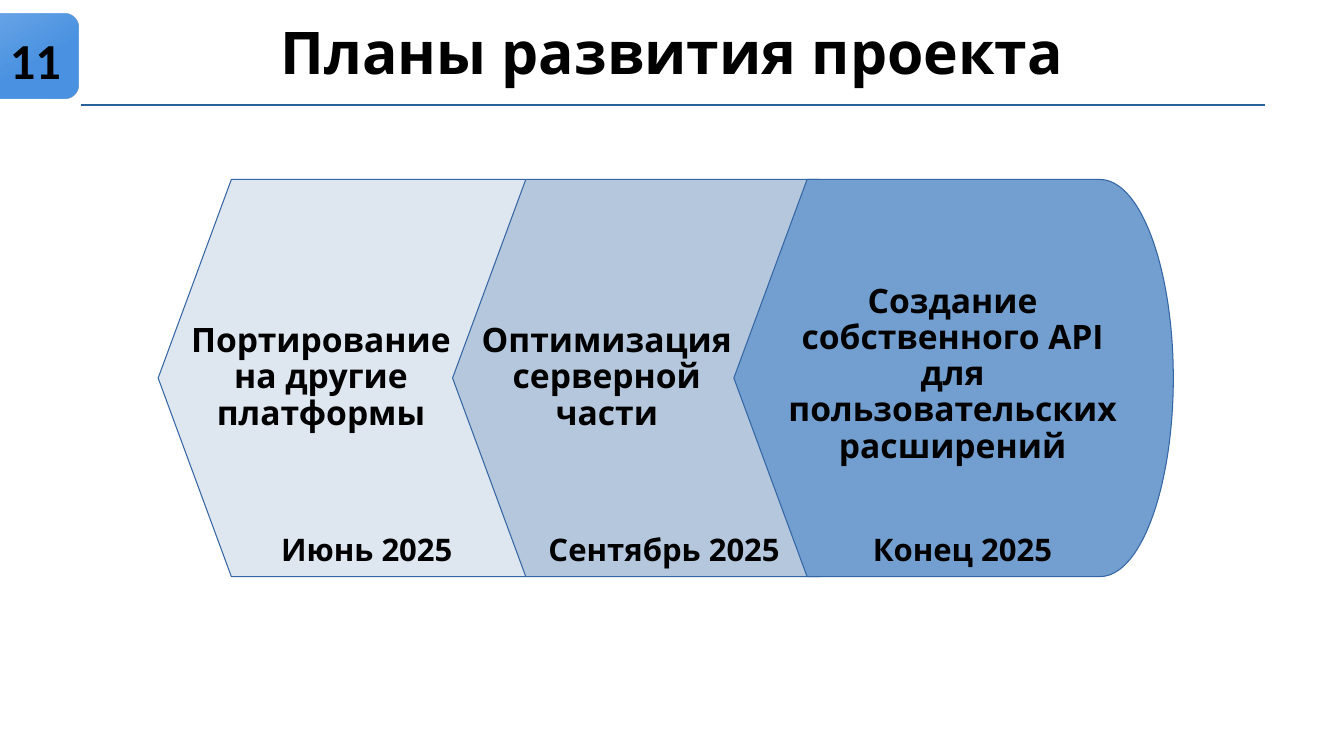
from lxml.etree import SubElement
from pptx import Presentation
from pptx.dml.color import RGBColor
from pptx.enum.shapes import MSO_CONNECTOR, MSO_SHAPE
from pptx.enum.text import MSO_ANCHOR, MSO_AUTO_SIZE, PP_ALIGN
from pptx.oxml.ns import qn
from pptx.util import Pt

BLACK = RGBColor(0x00, 0x00, 0x00)
RULE_BLUE = RGBColor(0x2A, 0x60, 0x99)
BADGE_BLUE = RGBColor(0x4B, 0x93, 0xE2)
OUTLINE_BLUE = RGBColor(0x34, 0x65, 0xA4)
PALE_BLUE = RGBColor(0xDE, 0xE6, 0xEF)
SOFT_BLUE = RGBColor(0xB4, 0xC7, 0xDC)
MID_BLUE = RGBColor(0x72, 0x9F, 0xCF)

TITLE = "Планы развития проекта"
PAGE_NUMBER = "11"
STAGES = [
    {"left": 113, "color": PALE_BLUE,
     "plan": "Портирование на другие платформы", "plan_box": (127.4, 227.5, 203.8, 98.6),
     "date": "Июнь 2025", "date_box": (184.3, 383, 155.5, 28)},
    {"left": 323.3, "color": SOFT_BLUE,
     "plan": "Оптимизация серверной части", "plan_box": (334.1, 227.5, 198.7, 85),
     "date": "Сентябрь 2025", "date_box": (382.3, 383, 184.3, 28)},
    {"left": 524.2, "color": MID_BLUE,
     "plan": "Создание собственного API для пользовательских расширений",
     "plan_box": (553, 199.4, 254.9, 140.4),
     "date": "Конец 2025", "date_box": (595.4, 382.3, 184.3, 28)},
]
STAGE_TOP, STAGE_WIDTH, STAGE_HEIGHT = 128.2, 313.9, 283.7


def write_text(shape, text, size, font="Open Sans", align=PP_ALIGN.CENTER,
               anchor=MSO_ANCHOR.TOP, spacing=1.0):
    frame = shape.text_frame
    frame.word_wrap = True
    frame.auto_size = MSO_AUTO_SIZE.NONE
    frame.vertical_anchor = anchor
    frame.text = text
    paragraph = frame.paragraphs[0]
    paragraph.alignment = align
    paragraph.line_spacing = spacing
    paragraph.space_before = Pt(0)
    paragraph.font.name = font
    paragraph.font.size = Pt(size)
    paragraph.font.bold = True
    paragraph.font.color.rgb = BLACK


def add_text(slide, text, box, **text_format):
    write_text(slide.shapes.add_textbox(*map(Pt, box)), text, **text_format)


def add_rule(slide):
    rule = slide.shapes.add_connector(
        MSO_CONNECTOR.STRAIGHT, Pt(57.6), Pt(74.9), Pt(903.6), Pt(74.9))
    rule.line.color.rgb = RULE_BLUE
    rule.line.width = Pt(1.5)
    SubElement(rule._element.spPr, qn("a:effectLst"))


def add_badge(slide):
    badge = slide.shapes.add_shape(
        MSO_SHAPE.ROUNDED_RECTANGLE, Pt(-14.4), Pt(10.1), Pt(70.6), Pt(60.5))
    badge.shadow.inherit = False
    badge.line.fill.background()
    badge.fill.gradient()
    badge.fill.gradient_angle = 300
    for stop, position in zip(badge.fill.gradient_stops, (0, 0.58)):
        stop.color.rgb = BADGE_BLUE
        stop.position = position
    first_color = badge._element.spPr.find(".//" + qn("a:srgbClr"))
    SubElement(first_color, qn("a:alpha"), val="81000")
    add_text(slide, PAGE_NUMBER, (0, 28.1, 215.3, 28.1), size=36, font="Calibri",
             align=PP_ALIGN.LEFT, anchor=MSO_ANCHOR.MIDDLE)


def add_stage(slide, left, color):
    shape = slide.shapes.add_shape(
        MSO_SHAPE.FLOWCHART_DISPLAY, Pt(left), Pt(STAGE_TOP), Pt(STAGE_WIDTH), Pt(STAGE_HEIGHT))
    shape.shadow.inherit = False
    shape.fill.solid()
    shape.fill.fore_color.rgb = color
    shape.line.color.rgb = OUTLINE_BLUE
    shape.line.width = Pt(0)


def main():
    presentation = Presentation()
    presentation.slide_width, presentation.slide_height = Pt(960), Pt(540)
    slide = presentation.slides.add_slide(presentation.slide_layouts[5])

    title = slide.shapes.title
    title.left, title.top, title.width, title.height = map(Pt, (66.2, 21.6, 827.3, 43.9))
    write_text(title, TITLE, size=42, spacing=0.7)
    add_rule(slide)
    add_badge(slide)

    for stage in STAGES:
        add_stage(slide, stage["left"], stage["color"])
    for stage in STAGES:
        add_text(slide, stage["plan"], stage["plan_box"], size=24, spacing=0.9)
        add_text(slide, stage["date"], stage["date_box"], size=22.2, spacing=0.7)

    presentation.save("out.pptx")


if __name__ == "__main__":
    main()
